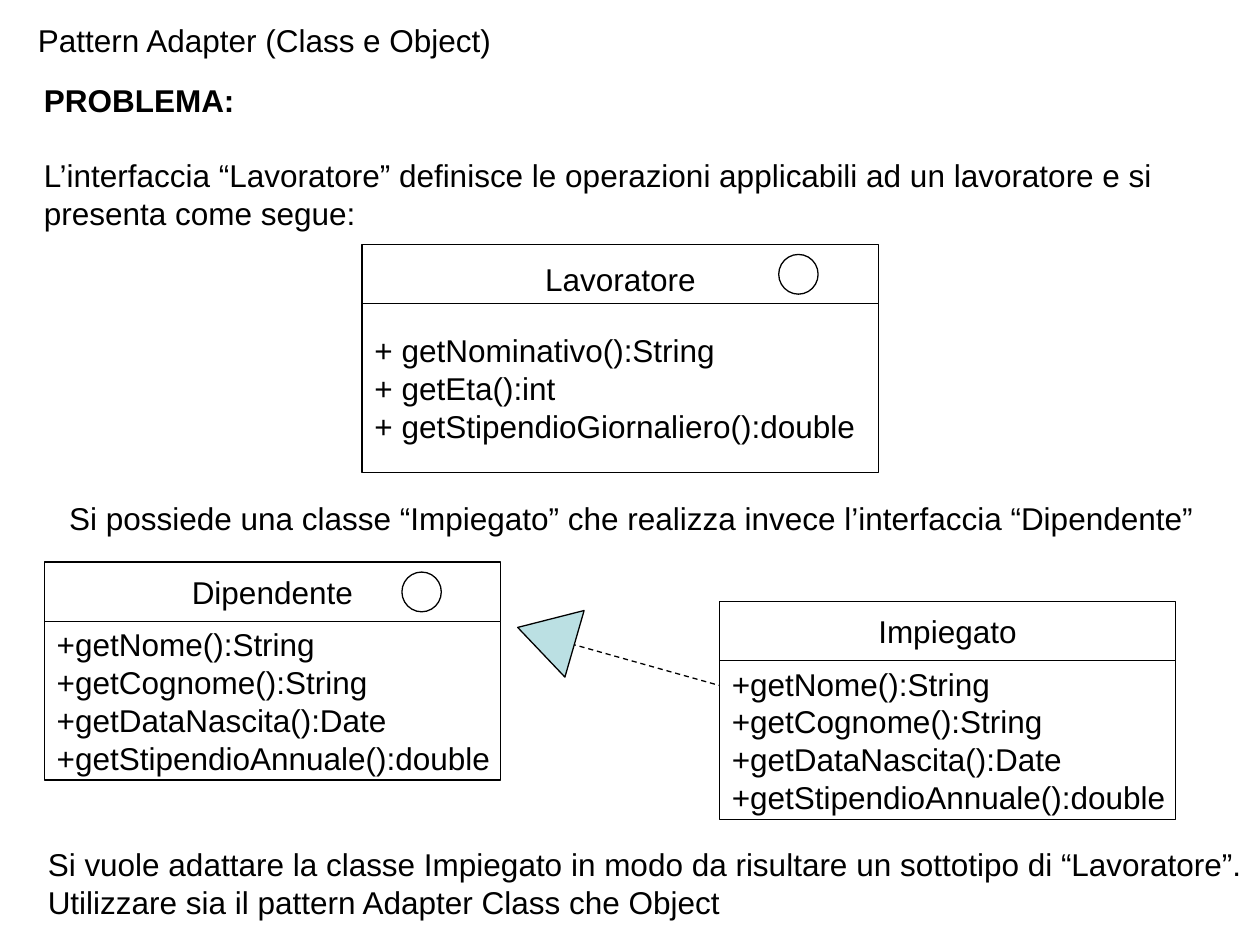
"""Build the Adapter pattern problem slide with its three class diagrams."""
from dataclasses import dataclass
from typing import Any, Optional

from lxml import etree
from pptx import Presentation
from pptx import util as u
from pptx.dml.color import RGBColor
from pptx.enum import dml, shapes, text
from pptx.oxml import ns

Pt = u.Pt


@dataclass(frozen=True)
class Theme:
    """Colours and type sizes of the slide."""
    font: str = "Arial"
    size: float = 18
    line: float = 0.75
    ink: RGBColor = RGBColor(0x00, 0x00, 0x00)
    paper: RGBColor = RGBColor(0xFF, 0xFF, 0xFF)
    accent: RGBColor = RGBColor(0xBB, 0xE0, 0xE3)


@dataclass(frozen=True)
class Box:
    """A rectangle in points."""
    left: float
    top: float
    width: float
    height: float

    def lengths(self) -> tuple:
        """Return the four sides as lengths."""
        return Pt(self.left), Pt(self.top), Pt(self.width), Pt(self.height)


@dataclass(frozen=True)
class Note:
    """A free text with an optional bold heading."""
    box: Box
    lines: tuple
    wrap: bool = True
    heading: bool = False


@dataclass(frozen=True)
class ClassBox:
    """A class with its header, its methods and an optional interface mark."""
    name: str
    methods: tuple
    header: Box
    body: Box
    mark: Optional[Box] = None


THEME = Theme()
LEFT, CENTER = text.PP_ALIGN.LEFT, text.PP_ALIGN.CENTER
TOP, MIDDLE = text.MSO_ANCHOR.TOP, text.MSO_ANCHOR.MIDDLE
EMPLOYEE_METHODS = ("+getNome():String", "+getCognome():String",
                    "+getDataNascita():Date", "+getStipendioAnnuale():double")
TITLE = Note(Box(14.4, 8.6, 274.3, 28.8), ("Pattern Adapter (Class e Object)",), wrap=False)
NOTES = (
    Note(Box(18, 42.5, 687.6, 136.8),
         ("PROBLEMA:",
          "L’interfaccia “Lavoratore” definisce le operazioni applicabili ad un "
          "lavoratore e si presenta come segue:"), heading=True),
    Note(Box(32.4, 281.5, 656.6, 28.8),
         ("Si possiede una classe “Impiegato” che realizza invece "
          "l’interfaccia “Dipendente”",), wrap=False),
    Note(Box(20.2, 479.5, 699.8, 50.4),
         ("Si vuole adattare la classe Impiegato in modo da risultare un sottotipo di "
          "“Lavoratore”. Utilizzare sia il pattern Adapter Class che Object",)),
)
CLASSES = (
    ClassBox("Lavoratore",
             ("+ getNominativo():String", "+ getEta():int",
              "+ getStipendioGiornaliero():double"),
             Box(206.9, 139.7, 295.2, 39.6), Box(206.9, 173.5, 295.2, 96.5),
             Box(445, 145.4, 22.5, 22.7)),
    ClassBox("Dipendente", EMPLOYEE_METHODS,
             Box(25.3, 321.2, 260.6, 33.9), Box(25.3, 355.1, 260.6, 90.7),
             Box(229.7, 326.9, 22.5, 22.7)),
    ClassBox("Impiegato", EMPLOYEE_METHODS,
             Box(411.1, 343.7, 260.6, 33.9), Box(411.1, 377.6, 260.6, 90.7)),
)


def apply(target: Any, values: dict) -> None:
    """Set attributes from a dict of format values."""
    for name, value in values.items():
        setattr(target, name, value)


def write(sp: Any, lines: tuple, align: Any = LEFT, anchor: Any = TOP,
          wrap: bool = False, heading: bool = False) -> None:
    """Write one paragraph per line in the theme's type."""
    tf = sp.text_frame
    apply(tf, {"word_wrap": wrap, "auto_size": text.MSO_AUTO_SIZE.NONE,
               "vertical_anchor": anchor, "margin_left": Pt(7.2),
               "margin_right": Pt(7.2), "margin_top": Pt(3.6),
               "margin_bottom": Pt(3.6)})
    for i, line in enumerate(lines):
        p = tf.paragraphs[0] if i == 0 else tf.add_paragraph()
        apply(p, {"alignment": align,
                  "space_before": Pt(21.6 if heading and i else 0)})
        r = p.add_run()
        r.text = line
        apply(r.font, {"name": THEME.font, "size": Pt(THEME.size),
                       "bold": heading and i == 0})
        r.font.color.rgb = THEME.ink


def add_shape(s: Any, kind: Any, box: Box, fill: RGBColor) -> Any:
    """Add a thinly outlined preset shape."""
    sp = s.shapes.add_shape(kind, *box.lengths())
    sp.shadow.inherit = False
    sp.fill.solid()
    sp.fill.fore_color.rgb = fill
    sp.line.color.rgb = THEME.ink
    sp.line.width = Pt(THEME.line)
    return sp


def add_title(s: Any, note: Note) -> None:
    """Move and format the title placeholder."""
    sp = s.shapes.title
    apply(sp, dict(zip(("left", "top", "width", "height"), note.box.lengths())))
    write(sp, note.lines, wrap=note.wrap)


def add_note(s: Any, note: Note) -> None:
    """Add a free text box."""
    sp = s.shapes.add_textbox(*note.box.lengths())
    write(sp, note.lines, wrap=note.wrap, heading=note.heading)


def add_class(s: Any, item: ClassBox) -> None:
    """Draw a class as header, method list and interface mark."""
    kinds = shapes.MSO_SHAPE
    header = add_shape(s, kinds.RECTANGLE, item.header, THEME.paper)
    write(header, (item.name,), CENTER, MIDDLE)
    body = add_shape(s, kinds.RECTANGLE, item.body, THEME.paper)
    write(body, item.methods, LEFT, MIDDLE)
    if item.mark:
        add_shape(s, kinds.OVAL, item.mark, THEME.paper)


def add_realization(s: Any) -> None:
    """Draw the dashed realization line and its triangular head."""
    sp = s.shapes.add_connector(shapes.MSO_CONNECTOR.STRAIGHT,
                                Pt(326.2), Pt(367.9), Pt(411.1), Pt(391.7))
    sp.line.color.rgb = THEME.ink
    apply(sp.line, {"width": Pt(THEME.line), "dash_style": dml.MSO_LINE.DASH})
    etree.SubElement(sp._element.spPr, ns.qn("a:effectLst"))
    head = add_shape(s, shapes.MSO_SHAPE.ISOSCELES_TRIANGLE,
                     Box(292.3, 346.3, 39.6, 33.8), THEME.accent)
    head.rotation = 286.1


def main() -> None:
    """Build and save the slide."""
    prs = Presentation()
    apply(prs, {"slide_width": Pt(720), "slide_height": Pt(540)})
    s = prs.slides.add_slide(prs.slide_layouts[5])
    add_title(s, TITLE)
    for note in NOTES:
        add_note(s, note)
    for item in CLASSES:
        add_class(s, item)
    add_realization(s)
    prs.save("out.pptx")


if __name__ == "__main__":
    main()
